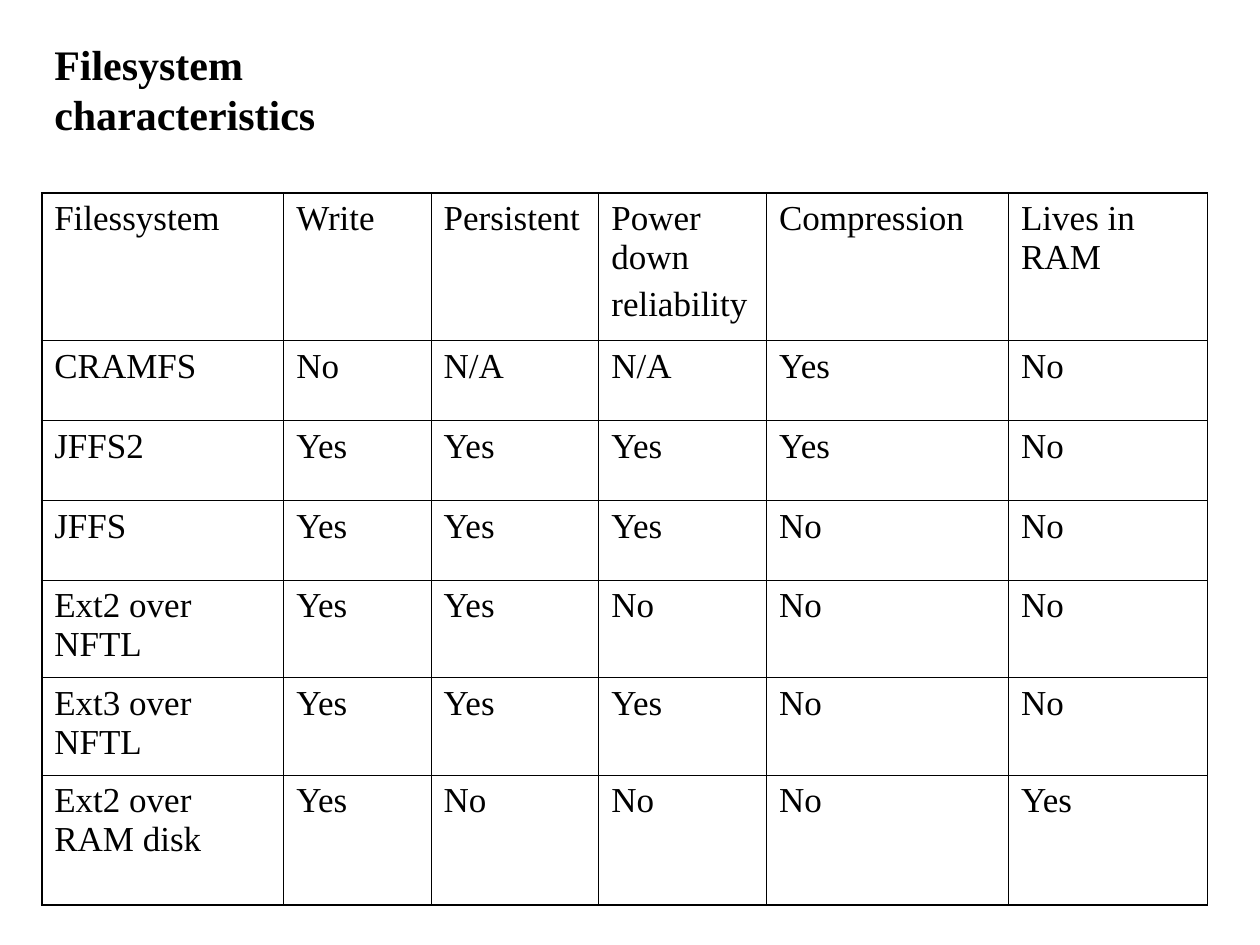
from lxml.etree import SubElement
from pptx import Presentation
from pptx.dml.color import RGBColor
from pptx.enum.text import MSO_ANCHOR, MSO_AUTO_SIZE, PP_ALIGN
from pptx.oxml.ns import qn
from pptx.util import Cm, Pt

INK = "000000"
THIN, THICK = 0.45, 1.08

COLUMN_WIDTHS = [4.88, 2.97, 3.38, 3.38, 4.88, 4.01]
ROW_HEIGHTS = [2.98, 1.61, 1.61, 1.61, 1.96, 1.96, 2.62]
ROWS = [
    ["Filessystem", "Write", "Persistent", "Power down\nreliability", "Compression", "Lives in RAM"],
    ["CRAMFS", "No", "N/A", "N/A", "Yes", "No"],
    ["JFFS2", "Yes", "Yes", "Yes", "Yes", "No"],
    ["JFFS", "Yes", "Yes", "Yes", "No", "No"],
    ["Ext2 over NFTL", "Yes", "Yes", "No", "No", "No"],
    ["Ext3 over NFTL", "Yes", "Yes", "Yes", "No", "No"],
    ["Ext2 over RAM disk", "Yes", "No", "No", "No", "Yes"],
]


def set_font(paragraph, size, color, bold=False):
    font = paragraph.font
    font.name = "Times New Roman"
    font.size = Pt(size)
    font.bold = bold
    font.color.rgb = RGBColor.from_string(color)


def add_border(cell, side, width, color):
    """Draw one side of a cell; side is L, R, T or B, in that order."""
    properties = cell._tc.get_or_add_tcPr()
    line = SubElement(properties, qn(f"a:ln{side}"), w=str(Pt(width)))
    fill = SubElement(line, qn("a:solidFill"))
    SubElement(fill, qn("a:srgbClr"), val=color)


presentation = Presentation()
presentation.slide_width = Cm(25.4)
presentation.slide_height = Cm(19.05)
slide = presentation.slides.add_slide(presentation.slide_layouts[5])

# Title
title = slide.shapes.title
title.left, title.top, title.width, title.height = Cm(0.84), Cm(0.64), Cm(9.78), Cm(1.27)
frame = title.text_frame
frame.text = "Filesystem characteristics"
frame.word_wrap = False
frame.auto_size = MSO_AUTO_SIZE.NONE
frame.vertical_anchor = MSO_ANCHOR.TOP
frame.paragraphs[0].alignment = PP_ALIGN.LEFT
set_font(frame.paragraphs[0], 24, INK, bold=True)

# Table
table = slide.shapes.add_table(
    len(ROWS), len(COLUMN_WIDTHS), Cm(0.84), Cm(3.89),
    Cm(sum(COLUMN_WIDTHS)), Cm(sum(ROW_HEIGHTS)),
).table
table.first_row = False
table.horz_banding = False
for column, width in zip(table.columns, COLUMN_WIDTHS):
    column.width = Cm(width)
for row, height in zip(table.rows, ROW_HEIGHTS):
    row.height = Cm(height)

last_row, last_column = len(ROWS) - 1, len(COLUMN_WIDTHS) - 1
for r, texts in enumerate(ROWS):
    for c, text in enumerate(texts):
        cell = table.cell(r, c)
        cell.text = text
        for index, paragraph in enumerate(cell.text_frame.paragraphs):
            paragraph.space_before = Pt(5 if index else 0)
            set_font(paragraph, 20, INK)
        outer_sides = {"L": c == 0, "R": c == last_column, "T": r == 0, "B": r == last_row}
        for side, is_outer in outer_sides.items():
            add_border(cell, side, THICK if is_outer else THIN, INK)
        cell.fill.background()

presentation.save("out.pptx")
